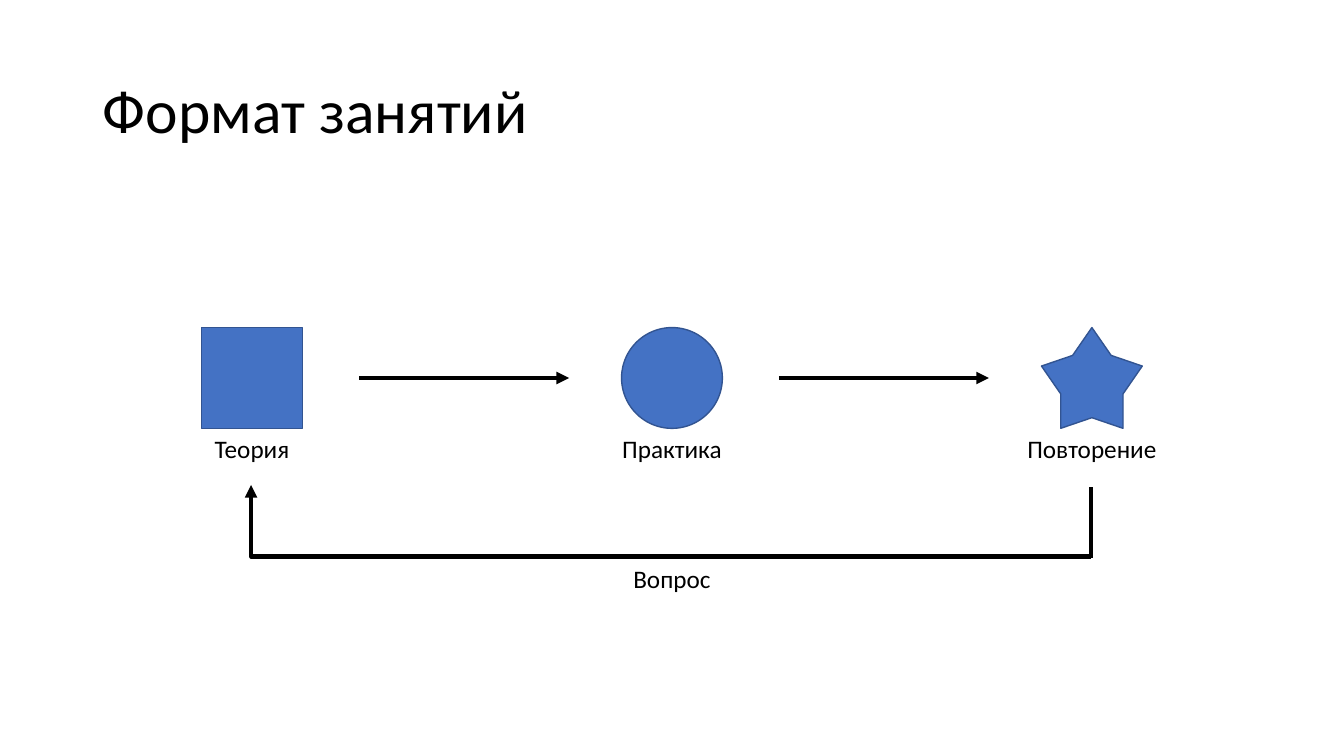
from lxml.etree import SubElement
from pptx import Presentation
from pptx.dml.color import RGBColor
from pptx.enum.shapes import MSO_CONNECTOR, MSO_SHAPE
from pptx.enum.text import MSO_ANCHOR, MSO_AUTO_SIZE, PP_ALIGN
from pptx.oxml.ns import qn
from pptx.util import Inches, Pt

WIDTH, HEIGHT = 13.33, 7.5
BLACK, BLUE, NAVY = "000000", "4472C4", "325491"
ICON, LABEL_HEIGHT = 1, 0.4
STEPS = [
    ("Теория", MSO_SHAPE.RECTANGLE),
    ("Практика", MSO_SHAPE.OVAL),
    ("Повторение", MSO_SHAPE.STAR_5_POINT),
]


def color(value):
    """Turn a hex string into a colour."""
    return RGBColor.from_string(value)


def apply(target, values):
    """Set each attribute named in a dict of format values."""
    for name, value in values.items():
        setattr(target, name, value)


def place(shape, box):
    """Move a shape to a box of left, top, width and height in inches."""
    apply(shape, dict(zip(("left", "top", "width", "height"), map(Inches, box))))


def write(shape, text, size, frame_format, para_format):
    """Fill a shape with one formatted paragraph."""
    frame = shape.text_frame
    apply(frame, frame_format)
    para = frame.paragraphs[0]
    apply(para, para_format)
    span = para.add_run()
    span.text = text
    apply(span.font, {"name": "Calibri", "size": Pt(size)})
    span.font.color.rgb = color(BLACK)


def add_title(page, box, text):
    """Place the slide title in its placeholder."""
    title = page.shapes.title
    place(title, box)
    write(title, text, 44,
          {"vertical_anchor": MSO_ANCHOR.MIDDLE, "auto_size": MSO_AUTO_SIZE.NONE},
          {"alignment": PP_ALIGN.LEFT, "line_spacing": 0.9})


def add_label(page, center, top, text):
    """Add a caption centred on a point."""
    width = 1.56
    label = page.shapes.add_textbox(0, 0, 0, 0)
    place(label, (center - width / 2, top, width, LABEL_HEIGHT))
    write(label, text, 18,
          {"word_wrap": False, "auto_size": MSO_AUTO_SIZE.SHAPE_TO_FIT_TEXT},
          {"alignment": PP_ALIGN.CENTER})


def add_line(page, start, end, arrow=True, kind=MSO_CONNECTOR.STRAIGHT):
    """Add a thick black connector, with an arrowhead if wanted."""
    line = page.shapes.add_connector(kind, *map(Inches, (*start, *end)))
    line.line.width = Pt(3)
    line.line.color.rgb = color(BLACK)
    properties = line._element.spPr
    if arrow:
        SubElement(properties.find(qn("a:ln")), qn("a:tailEnd"), type="triangle")
    SubElement(properties, qn("a:effectLst"))
    return line


def add_step(page, center, top, text, kind):
    """Add an icon with its caption below."""
    icon = page.shapes.add_shape(kind, 0, 0, 0, 0)
    place(icon, (center - ICON / 2, top, ICON, ICON))
    if kind == MSO_SHAPE.STAR_5_POINT:
        icon.adjustments[0] = 0.309
    icon.shadow.inherit = False
    icon.fill.solid()
    icon.fill.fore_color.rgb = color(BLUE)
    icon.line.color.rgb = color(NAVY)
    icon.line.width = Pt(1)
    add_label(page, center, top + ICON, text)


def add_return(page, box, text):
    """Add the loop from the last step back to the first, with its caption."""
    left, top, width, height = box
    right, bottom = left + width, top + height
    elbow = add_line(page, (left, top), (right, bottom), kind=MSO_CONNECTOR.ELBOW)
    elbow.rotation = 180
    properties = elbow._element.spPr
    properties.find(qn("a:xfrm")).set("rot", "10800000")
    guides = properties.find(qn("a:prstGeom")).find(qn("a:avLst"))
    SubElement(guides, qn("a:gd"), name="adj1", fmla="val 100000")
    add_line(page, (right, bottom + 0.02), (right, top + 0.02), arrow=False)
    add_label(page, left + width / 2 + 0.01, bottom + 0.02, text)


def add_cycle(page, box):
    """Lay out the steps in equal columns, with arrows and the return loop."""
    left, top, width, height = box
    pitch = (width - ICON) / (len(STEPS) - 1)
    centers = [left + ICON / 2 + pitch * column for column in range(len(STEPS))]
    middle = top + ICON / 2
    for center, (text, kind) in zip(centers, STEPS):
        add_step(page, center, top, text, kind)
    for center in centers[:-1]:
        start = center + pitch / 4 + 0.02
        add_line(page, (start, middle), (start + pitch / 2, middle))
    loop_top = top + 1.56
    add_return(page, (centers[0] - 0.01, loop_top, 2 * pitch,
                      top + height - LABEL_HEIGHT - 0.02 - loop_top), "Вопрос")


def main():
    """Build the deck."""
    deck = Presentation()
    apply(deck, {"slide_width": Inches(WIDTH), "slide_height": Inches(HEIGHT)})
    page = deck.slides.add_slide(deck.slide_layouts[5])
    add_title(page, (0.92, 0.4, 11.5, 1.45), "Формат занятий")
    add_cycle(page, (2, 3.25, WIDTH - 4, 2.69))
    deck.save("out.pptx")


if __name__ == "__main__":
    main()
